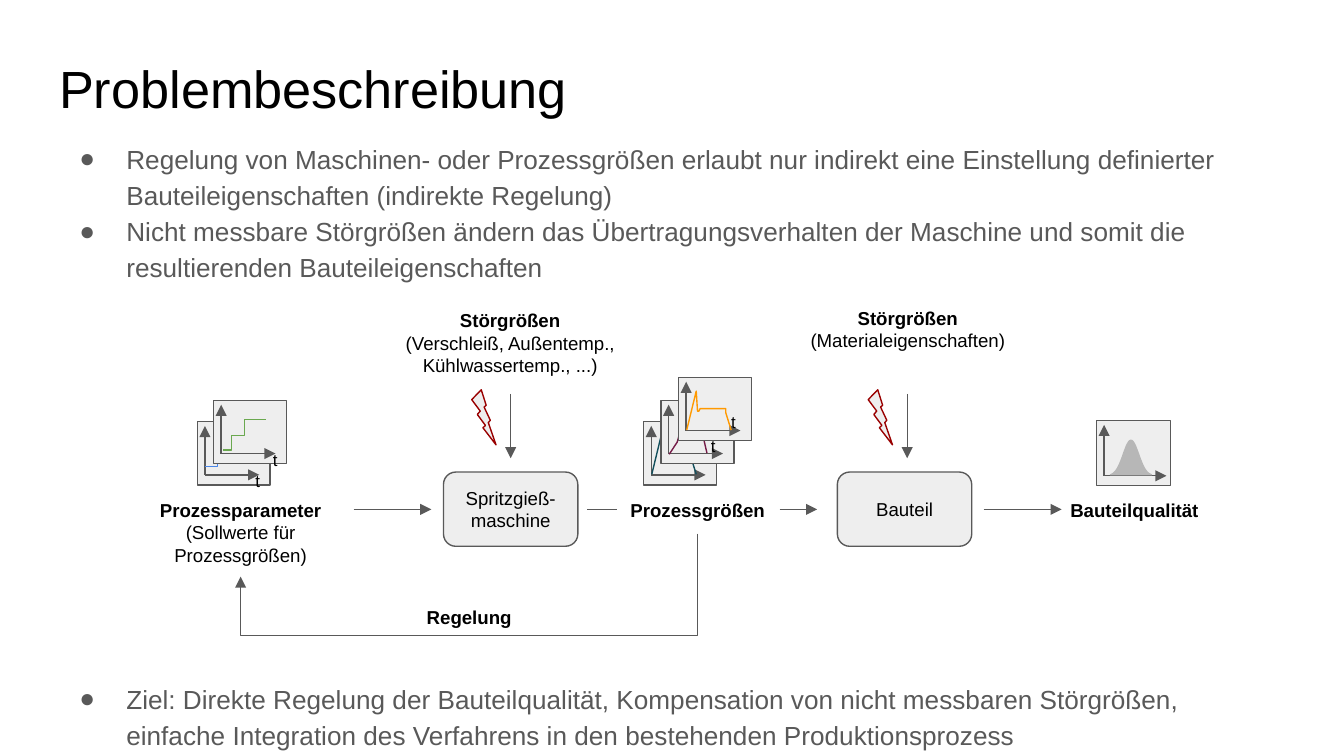
"""Build the slide describing the control problem in injection moulding."""
import math
from typing import NamedTuple

from lxml import etree
from pptx import Presentation
from pptx.dml.color import RGBColor
from pptx.enum import shapes, text
from pptx.oxml import ns
from pptx.util import Pt

BLACK = RGBColor(0x00, 0x00, 0x00)
GREY = RGBColor(0x59, 0x59, 0x59)
PALE = RGBColor(0xEE, 0xEE, 0xEE)
SILVER = RGBColor(0xB7, 0xB7, 0xB7)
RED = RGBColor(0x99, 0x00, 0x00)
BLUE = RGBColor(0x4A, 0x86, 0xE8)
GREEN = RGBColor(0x6A, 0xA8, 0x4F)
TEAL = RGBColor(0x13, 0x4F, 0x5C)
PLUM = RGBColor(0x74, 0x1B, 0x47)
ORANGE = RGBColor(0xFF, 0x99, 0x00)

Points = list[tuple[float, float]]
Box = tuple[float, float, float, float]


class Label(NamedTuple):
    box: Box
    heading: str
    detail: str = ""


class Arrow(NamedTuple):
    x1: float
    y1: float
    x2: float
    y2: float
    head: bool = True


class Plot(NamedTuple):
    x: float
    y: float
    curve: Points
    color: RGBColor
    time_box: Box | None = None
    width: float = 39
    height: float = 33.8
    axis_end: float = 33.1
    filled: bool = False


LOW_STEPS = [(4.3, 23.8), (10.8, 23.8), (10.8, 17.3), (20.2, 17.3), (20.2, 11.5), (28.8, 11.5)]
HIGH_STEPS = [(5, 26.6), (9.4, 26.6), (9.4, 18.7), (16.6, 18.7), (16.6, 10.1), (28.1, 10.1)]
PRESSURE = [(4.3, 28.1), (9.4, 7.2), (10.1, 18), (10.8, 18), (11.5, 16.6), (25.2, 16.6),
            (25.2, 18.7), (28.1, 28.1)]
RAMP = [(4.3, 28.8), (8.6, 22.3), (9.4, 19.4), (13.7, 13.7), (15.1, 11.5), (15.8, 8.6),
        (18, 5.8), (18.7, 5.8), (20.2, 5), (20.9, 10.8), (20.9, 15.1), (23, 21.6), (24.5, 28.1)]
BELL = [(18.4 + u / 2, 29.5 - 19 * math.exp(-((u / 11.6) ** 2))) for u in range(-22, 23)]

PLOTS = [
    Plot(105.8, 226, LOW_STEPS, BLUE, (26.6, 18.8, 11.5, 14.4)),
    Plot(114.5, 214.6, HIGH_STEPS, GREEN, (27.3, 19.4, 11.5, 14.4)),
    Plot(344.9, 226, PRESSURE, TEAL),
    Plot(354.2, 214.6, RAMP, PLUM, (26.7, 17.2, 1.5, 3.6)),
    Plot(363.6, 202.3, PRESSURE, ORANGE, (28.1, 16.6, 2.2, 3.6)),
    Plot(587.5, 225.4, BELL, SILVER, None, 39.6, 34.6, 37.4, True),
]
LABELS = [
    Label((69.1, 260, 119.5, 48.2), "Prozessparameter", "(Sollwerte für Prozessgrößen)"),
    Label((326.2, 260, 95, 25.2), "Prozessgrößen"),
    Label((564.5, 260, 86.4, 25.2), "Bauteilqualität"),
    Label((198, 158.4, 150.5, 25.2), "Störgrößen", "(Verschleiß, Außentemp., Kühlwassertemp., ...)"),
    Label((422.6, 157, 127.4, 36.7), "Störgrößen", "(Materialeigenschaften)"),
    Label((203.8, 317.5, 95, 25.2), "Regelung"),
]
FLOW_Y = 272.9
ARROWS = [
    Arrow(189.4, FLOW_Y, 231.1, FLOW_Y),
    Arrow(314.6, FLOW_Y, 330.5, FLOW_Y, False),
    Arrow(417.6, FLOW_Y, 437.8, FLOW_Y),
    Arrow(527, FLOW_Y, 568.8, FLOW_Y),
]
STATIONS = [(237.6, "Spritzgieß-\vmaschine"), (448.6, "Bauteil")]
DISTURBANCES = [252.7, 465.1]
BULLETS = [
    ("Regelung von Maschinen- oder Prozessgrößen erlaubt nur indirekt eine Einstellung "
     "definierter Bauteileigenschaften (indirekte Regelung)", 0),
    ("Nicht messbare Störgrößen ändern das Übertragungsverhalten der Maschine und somit "
     "die resultierenden Bauteileigenschaften", 0),
    ("Ziel: Direkte Regelung der Bauteilqualität, Kompensation von nicht messbaren "
     "Störgrößen, einfache Integration des Verfahrens in den bestehenden Produktionsprozess", 212),
]


def place(shape, box: Box) -> None:
    shape.left, shape.top, shape.width, shape.height = map(Pt, box)


def set_frame(frame, anchor=text.MSO_ANCHOR.TOP) -> None:
    frame.word_wrap = True
    frame.auto_size = text.MSO_AUTO_SIZE.NONE
    frame.vertical_anchor = anchor
    frame.margin_left = frame.margin_right = Pt(7.2)
    frame.margin_top = frame.margin_bottom = Pt(7.2)


def style(paragraph, size: float, color=BLACK, align=text.PP_ALIGN.LEFT, bold=False) -> None:
    paragraph.alignment = align
    font = paragraph.font
    font.name, font.size, font.bold = "Arial", Pt(size), bold
    font.color.rgb = color


def paint(shape, fill: RGBColor | None, line: RGBColor) -> None:
    shape.shadow.inherit = False
    if fill is None:
        shape.fill.background()
    else:
        shape.fill.solid()
        shape.fill.fore_color.rgb = fill
    shape.line.color.rgb = line
    shape.line.width = Pt(0.75)


def draw_shape(slide, kind, box: Box, line=GREY):
    shape = slide.shapes.add_shape(kind, *map(Pt, box))
    paint(shape, PALE, line)
    return shape


def draw_text(slide, box: Box, lines: list[tuple[str, bool]], size: float, align) -> None:
    frame = slide.shapes.add_textbox(*map(Pt, box)).text_frame
    set_frame(frame)
    for index, (words, bold) in enumerate(lines):
        paragraph = frame.add_paragraph() if index else frame.paragraphs[0]
        paragraph.text = words
        style(paragraph, size, align=align, bold=bold)


def draw_arrow(slide, arrow: Arrow, kind=shapes.MSO_CONNECTOR.STRAIGHT):
    connector = slide.shapes.add_connector(kind, *map(Pt, arrow[:4]))
    connector.line.color.rgb = GREY
    connector.line.width = Pt(0.75)
    if arrow.head:
        etree.SubElement(connector.line._get_or_add_ln(), ns.qn("a:tailEnd"), type="triangle")
    etree.SubElement(connector._element.spPr, ns.qn("a:effectLst"))
    return connector


def draw_feedback(slide) -> None:
    loop = draw_arrow(slide, Arrow(239.8, 175, 262.8, 419.8), shapes.MSO_CONNECTOR.ELBOW)
    properties = loop._element.spPr
    properties.find(ns.qn("a:xfrm")).set("rot", "5400000")
    guides = properties.find(ns.qn("a:prstGeom")).find(ns.qn("a:avLst"))
    etree.SubElement(guides, ns.qn("a:gd"), name="adj1", fmla="val 237200")


def draw_plot(slide, plot: Plot) -> None:
    x, y = plot.x, plot.y
    draw_shape(slide, shapes.MSO_SHAPE.RECTANGLE, (x, y, plot.width, plot.height))
    base = y + (29.5 if plot.filled else 28.4)
    draw_arrow(slide, Arrow(x + 4, base, x + 4, y + 2.2))
    draw_arrow(slide, Arrow(x + 4, base, x + plot.axis_end, base))
    points = [(Pt(x + dx), Pt(y + dy)) for dx, dy in plot.curve]
    builder = slide.shapes.build_freeform(*points[0])
    builder.add_line_segments(points[1:], close=plot.filled)
    paint(builder.convert_to_shape(), plot.color if plot.filled else None, plot.color)
    if plot.time_box:
        dx, dy, width, height = plot.time_box
        draw_text(slide, (x + dx, y + dy, width, height), [("t", False)], 9, text.PP_ALIGN.LEFT)


def fill_placeholders(slide) -> None:
    title, body = slide.shapes.title, slide.placeholders[1]
    place(title, (24.5, 23, 671, 45.4))
    set_frame(title.text_frame)
    title.text_frame.text = "Problembeschreibung"
    style(title.text_frame.paragraphs[0], 28)
    place(body, (24.5, 67, 671, 90))
    frame = body.text_frame
    set_frame(frame)
    for index, (words, gap) in enumerate(BULLETS):
        paragraph = frame.add_paragraph() if index else frame.paragraphs[0]
        paragraph.text = words
        style(paragraph, 14, GREY)
        paragraph.line_spacing = 1.15
        paragraph.space_before = Pt(gap)
        properties = paragraph._p.get_or_add_pPr()
        properties.set("marL", str(Pt(36)))
        properties.set("indent", str(Pt(-25.2)))
        bullet = etree.Element(ns.qn("a:buChar"), char="●")
        properties.find(ns.qn("a:defRPr")).addprevious(bullet)


def main() -> None:
    deck = Presentation()
    deck.slide_width, deck.slide_height = Pt(720), Pt(405)
    slide = deck.slides.add_slide(deck.slide_layouts[1])
    fill_placeholders(slide)
    for x, words in STATIONS:
        station = draw_shape(slide, shapes.MSO_SHAPE.ROUNDED_RECTANGLE, (x, 252.9, 72, 39.8))
        set_frame(station.text_frame, text.MSO_ANCHOR.MIDDLE)
        station.text_frame.paragraphs[0].text = words
        style(station.text_frame.paragraphs[0], 10, align=text.PP_ALIGN.CENTER)
    for plot in PLOTS:
        draw_plot(slide, plot)
    for label in LABELS:
        lines = [(label.heading, True)] + ([(label.detail, False)] if label.detail else [])
        draw_text(slide, label.box, lines, 10, text.PP_ALIGN.CENTER)
    for x in DISTURBANCES:
        draw_shape(slide, shapes.MSO_SHAPE.LIGHTNING_BOLT, (x, 208.8, 13, 29.5), RED)
        draw_arrow(slide, Arrow(x + 20.9, 211, x + 20.9, 245.5))
    for arrow in ARROWS:
        draw_arrow(slide, arrow)
    draw_feedback(slide)
    deck.save("out.pptx")


if __name__ == "__main__":
    main()
